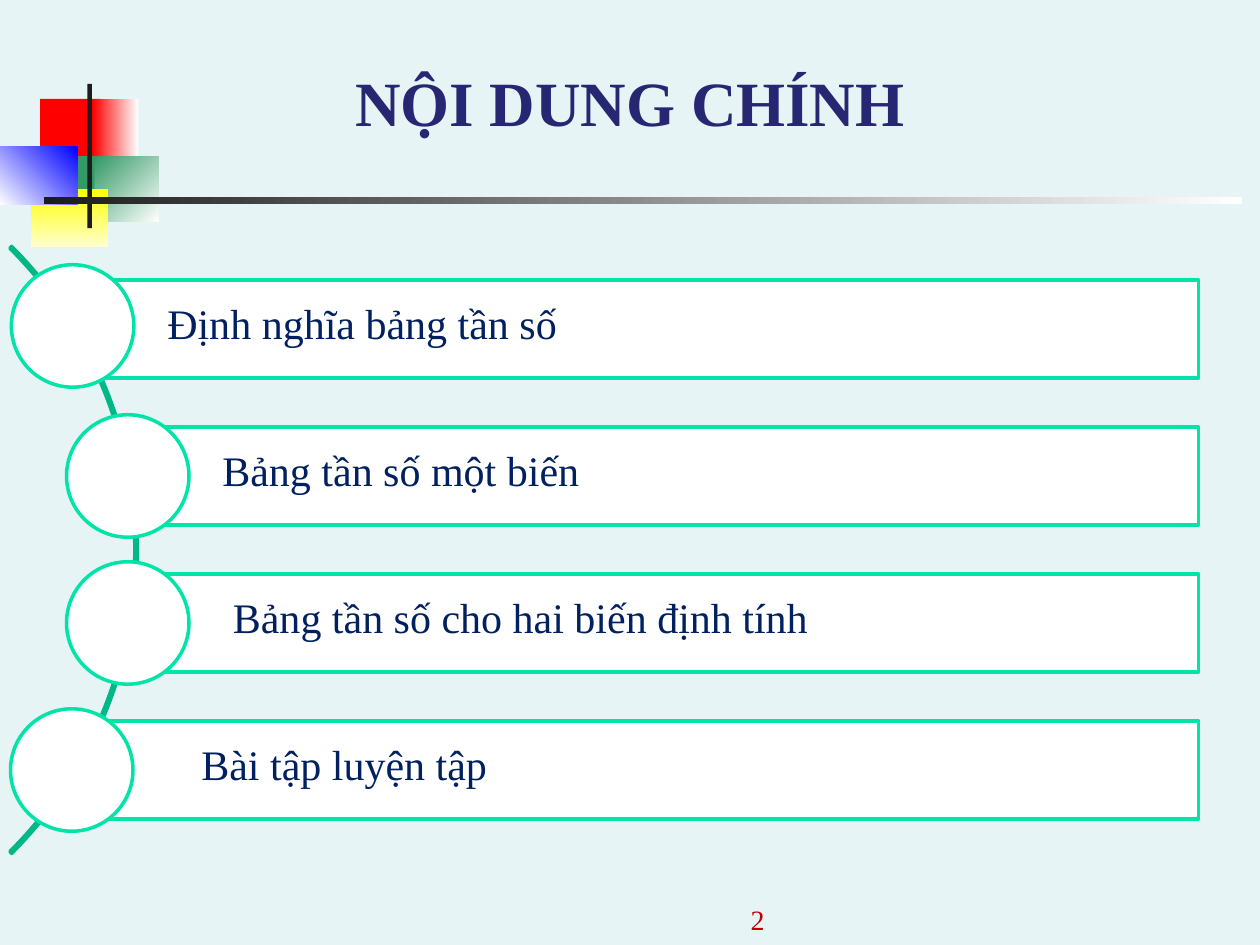
from pptx import Presentation, util as u
from pptx.dml.color import RGBColor
from pptx.enum import shapes, text

Pt = u.Pt
FONT = "Times New Roman"
KIND = shapes.MSO_SHAPE


def rgb(value):
    return RGBColor.from_string(value)


def add_block(kind, box, fill=None, line=None):
    block = slide.shapes.add_shape(kind, *map(Pt, box))
    block.shadow.inherit = False
    if fill:
        block.fill.solid()
        block.fill.fore_color.rgb = rgb(fill)
    else:
        block.fill.background()
    if line:
        block.line.color.rgb = rgb(line)
        block.line.width = Pt(2)
    else:
        block.line.fill.background()
    return block


def add_label(words, box, size, color, align, anchor, bold=False):
    frame = slide.shapes.add_textbox(*map(Pt, box)).text_frame
    frame.word_wrap = True
    frame.vertical_anchor = anchor
    frame.text = words
    paragraph = frame.paragraphs[0]
    paragraph.alignment = align
    font = paragraph.runs[0].font
    font.name, font.size, font.bold = FONT, Pt(size), bold
    font.color.rgb = rgb(color)


deck = Presentation()
deck.slide_width, deck.slide_height = Pt(720), Pt(540)
slide = deck.slides.add_slide(deck.slide_layouts[6])
slide.background.fill.solid()
slide.background.fill.fore_color.rgb = rgb("E7F4F5")

# Corner ornament and title rule: box, start colour, end colour, clockwise angle
ornament = [
    ((23, 56.5, 34.5, 37.5), "FF0000", None, 0),
    ((53, 56.5, 26, 37.5), "FF0000", "FFFFFF", 0),
    ((54, 89.25, 36.75, 37.5), "339966", "FFFFFF", 45),
    ((31, 89.25, 23, 37.5), "339966", None, 0),
    ((18, 108, 44, 33), "FFFF00", "FFFFCC", 90),
    ((0, 83.5, 44.25, 33.5), "FFFFFF", "0000FF", 315),
    ((50, 48, 2.5, 82.5), "1C1C1C", None, 0),
    ((25, 112.5, 684.5, 4), "1C1C1C", "FFFFFF", 0),
]
for box, start, end, angle in ornament:
    patch = add_block(KIND.RECTANGLE, box, start)
    if end:
        patch.fill.gradient()
        patch.fill.gradient_angle = (360 - angle) % 360
        for stop, color in zip(patch.fill.gradient_stops, (start, end)):
            stop.color.rgb = rgb(color)

# Title and page number
add_label("NỘI DUNG CHÍNH", (0, 30, 720, 53), 36, "262673",
          text.PP_ALIGN.CENTER, text.MSO_ANCHOR.BOTTOM, bold=True)
add_label("2", (276, 510, 168, 28.5), 16, "C00000",
          text.PP_ALIGN.RIGHT, text.MSO_ANCHOR.BOTTOM)

# Curve that joins the topics
curve = add_block(KIND.BLOCK_ARC, (-412, 69, 490.5, 490.5), line="00B787")
for index, value in enumerate((189, 27, 0.003)):
    curve.adjustments[index] = value

# Topics: words, bar left, circle left, circle top, words left
topics = [
    ("Định nghĩa bảng tần số", 41, 6.5, 151.25, 88.5),
    ("Bảng tần số một biến", 73, 38, 237, 120),
    ("Bảng tần số cho hai biến định tính", 73, 38, 321, 126),
    ("Bài tập luyện tập", 41, 6, 405, 108),
]
BAR_TOP, BAR_RIGHT, BAR_HEIGHT, PITCH, DIAMETER = 160, 685, 56, 84, 70
for row, (words, bar_left, circle_left, circle_top, words_left) in enumerate(topics):
    top = BAR_TOP + row * PITCH
    add_block(KIND.RECTANGLE, (bar_left, top, BAR_RIGHT - bar_left, BAR_HEIGHT),
              "FFFFFF", "00E4A8")
    add_block(KIND.OVAL, (circle_left, circle_top, DIAMETER, DIAMETER),
              "FFFFFF", "00E4A8")
    add_label(words, (words_left, top + 6.5, 530, 36), 24, "002060",
              text.PP_ALIGN.LEFT, text.MSO_ANCHOR.TOP)

deck.save("out.pptx")
